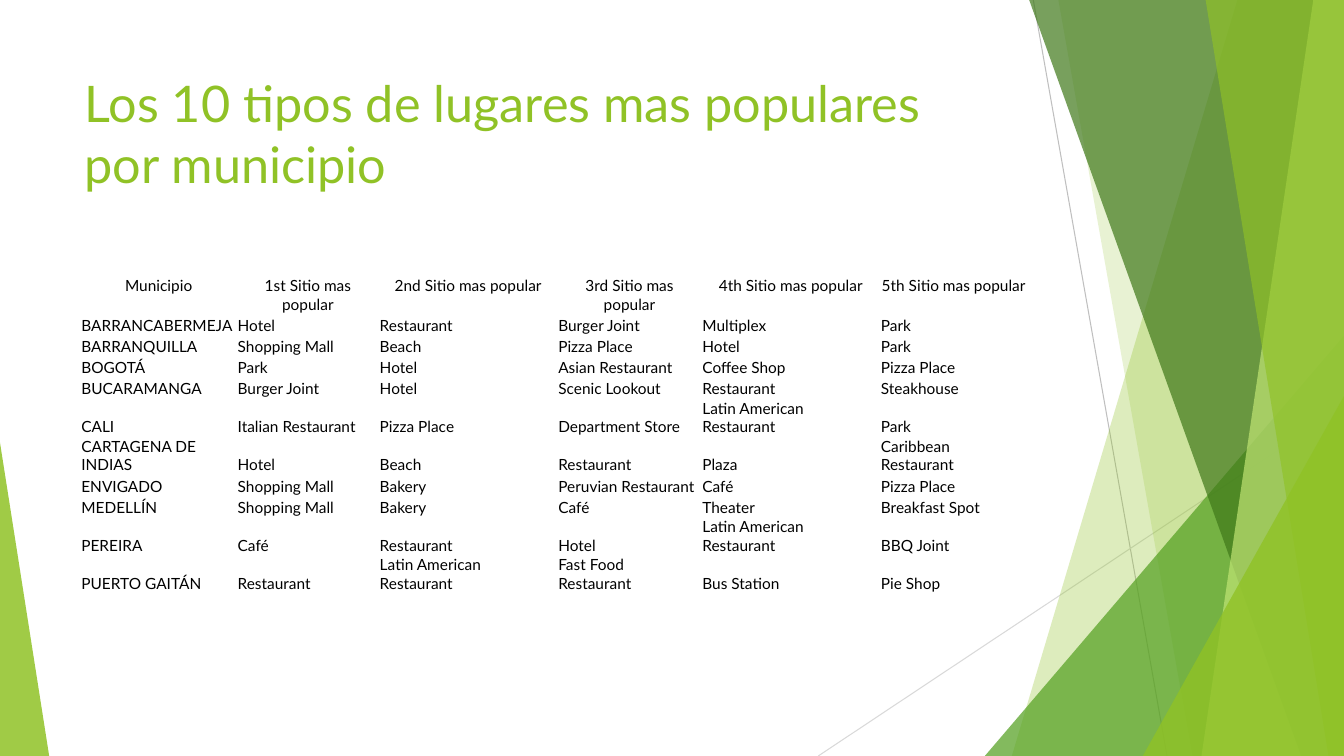
from lxml import etree
from pptx import Presentation, util as u
from pptx.dml import color
from pptx.enum import shapes, text
from pptx.oxml import ns


def rgb(hex_code):
    return color.RGBColor.from_string(hex_code)


def paint(facet, hex_code, opacity):
    facet.shadow.inherit = False
    facet.line.fill.background()
    facet.fill.solid()
    facet.fill.fore_color.rgb = rgb(hex_code)
    tint = facet.fill._xPr.find(".//" + ns.qn("a:srgbClr"))
    etree.SubElement(tint, ns.qn("a:alpha"), val=str(opacity * 1000))


WIDTH, HEIGHT = 33.87, 19.05
GREEN = "90C226"

deck = Presentation()
deck.slide_width, deck.slide_height = u.Cm(WIDTH), u.Cm(HEIGHT)
slide = deck.slides.add_slide(deck.slide_layouts[5])

for x1, y1, x2, y2, gray in [
    (26.04, 0, 29.41, HEIGHT, "BFBFBF"),
    (WIDTH, 10.24, 20.62, HEIGHT, "D9D9D9"),
]:
    ray = slide.shapes.add_connector(
        shapes.MSO_CONNECTOR.STRAIGHT, u.Cm(x1), u.Cm(y1), u.Cm(x2), u.Cm(y2))
    ray.line.width = u.Pt(0.75)
    ray.line.color.rgb = rgb(gray)
    etree.SubElement(ray._element.spPr, ns.qn("a:effectLst"))

bands = [
    (31.19, 25.5, GREEN, 30),
    (26.67, 30.05, GREEN, 20),
    (25.93, 32.79, "3F7819", 70),
    (33.1, 30.28, "C0E474", 70),
    (30.38, 33.48, GREEN, 65),
]
wedges = [
    (24.82, 8.46, 9.05, 1, "54A021", 72),
    (28.8, 9.98, 5.07, 1, GREEN, 80),
    (0, 11.15, 1.24, 0, GREEN, 85),
]
facets = bands[:2] + wedges[:1] + bands[2:] + wedges[1:]
for *place, hue, opacity in facets:
    if len(place) == 2:
        top_x, bottom_x = place
        outline = slide.shapes.build_freeform(u.Cm(top_x), u.Cm(-0.02))
        outline.add_line_segments([
            (u.Cm(x), u.Cm(y)) for x, y in
            [(WIDTH, -0.02), (WIDTH, HEIGHT), (bottom_x, HEIGHT)]])
        facet = outline.convert_to_shape()
    else:
        left, top, width, apex = place
        facet = slide.shapes.add_shape(
            shapes.MSO_SHAPE.ISOSCELES_TRIANGLE,
            u.Cm(left), u.Cm(top), u.Cm(width), u.Cm(HEIGHT - top))
        facet.adjustments[0] = apex
    paint(facet, hue, opacity)

title = slide.shapes.title
slide.shapes._spTree.append(title._element)
title_box = {"left": 1.88, "top": 1.7, "width": 23.88, "height": 3.66}
for name, value in title_box.items():
    setattr(title, name, u.Cm(value))
title.text_frame.text = "Los 10 tipos de lugares mas populares\vpor municipio"
title_frame = {
    "word_wrap": True,
    "auto_size": text.MSO_AUTO_SIZE.NONE,
    "vertical_anchor": text.MSO_ANCHOR.TOP,
}
for name, value in title_frame.items():
    setattr(title.text_frame, name, value)
heading = title.text_frame.paragraphs[0]
heading.alignment = text.PP_ALIGN.LEFT
for run in heading.runs:
    run.font.name, run.font.size = "Lato", u.Pt(36)
    run.font.color.rgb = rgb(GREEN)

ordinals = ["1st", "2nd", "3rd", "4th", "5th"]
rankings = [
    [],
    [],
    ["Municipio"] + [f"{ordinal} Sitio mas popular" for ordinal in ordinals],
    ["BARRANCABERMEJA", "Hotel", "Restaurant", "Burger Joint", "Multiplex", "Park"],
    ["BARRANQUILLA", "Shopping Mall", "Beach", "Pizza Place", "Hotel", "Park"],
    ["BOGOTÁ", "Park", "Hotel", "Asian Restaurant", "Coffee Shop", "Pizza Place"],
    ["BUCARAMANGA", "Burger Joint", "Hotel", "Scenic Lookout", "Restaurant", "Steakhouse"],
    ["CALI", "Italian Restaurant", "Pizza Place", "Department Store",
     "Latin American Restaurant", "Park"],
    ["CARTAGENA DE INDIAS", "Hotel", "Beach", "Restaurant", "Plaza",
     "Caribbean Restaurant"],
    ["ENVIGADO", "Shopping Mall", "Bakery", "Peruvian Restaurant", "Café", "Pizza Place"],
    ["MEDELLÍN", "Shopping Mall", "Bakery", "Café", "Theater", "Breakfast Spot"],
    ["PEREIRA", "Café", "Restaurant", "Hotel", "Latin American Restaurant", "BBQ Joint"],
    ["PUERTO GAITÁN", "Restaurant", "Latin American Restaurant", "Fast Food Restaurant",
     "Bus Station", "Pie Shop"],
]
HEADER_ROW = 2
column_widths = [3.94, 3.58, 4.5, 3.63, 4.5, 3.71]
places = slide.shapes.add_table(
    len(rankings), len(column_widths),
    u.Cm(2.03), u.Cm(5.92), u.Cm(sum(column_widths)), u.Cm(6.86)).table
places.first_row = places.horz_banding = False
for column, width in zip(places.columns, column_widths):
    column.width = u.Cm(width)

cell_format = {
    "margin_left": u.Cm(0.02),
    "margin_right": u.Cm(0.02),
    "margin_top": u.Cm(0.02),
    "margin_bottom": 0,
}
for r, ranking in enumerate(rankings):
    places.rows[r].height = u.Cm(0.53 if r else 0.28)
    for c in range(len(column_widths)):
        cell = places.cell(r, c)
        for name, value in cell_format.items():
            setattr(cell, name, value)
        cell.fill.solid()
        cell.fill.fore_color.rgb = rgb("FFFFFF")
        entry = cell.text_frame.paragraphs[0]
        if ranking:
            run = entry.add_run()
            run.text = ranking[c]
            run.font.name, run.font.size = "Lato", u.Pt(11)
            run.font.color.rgb = rgb("000000")
        else:
            etree.SubElement(entry._p, ns.qn("a:endParaRPr"), sz="1100")
        if r == HEADER_ROW:
            entry.alignment = text.PP_ALIGN.CENTER
        elif r > HEADER_ROW:
            cell.vertical_anchor = text.MSO_ANCHOR.BOTTOM
    if not ranking:
        places.cell(r, 0).merge(places.cell(r, len(column_widths) - 1))

deck.save("out.pptx")
